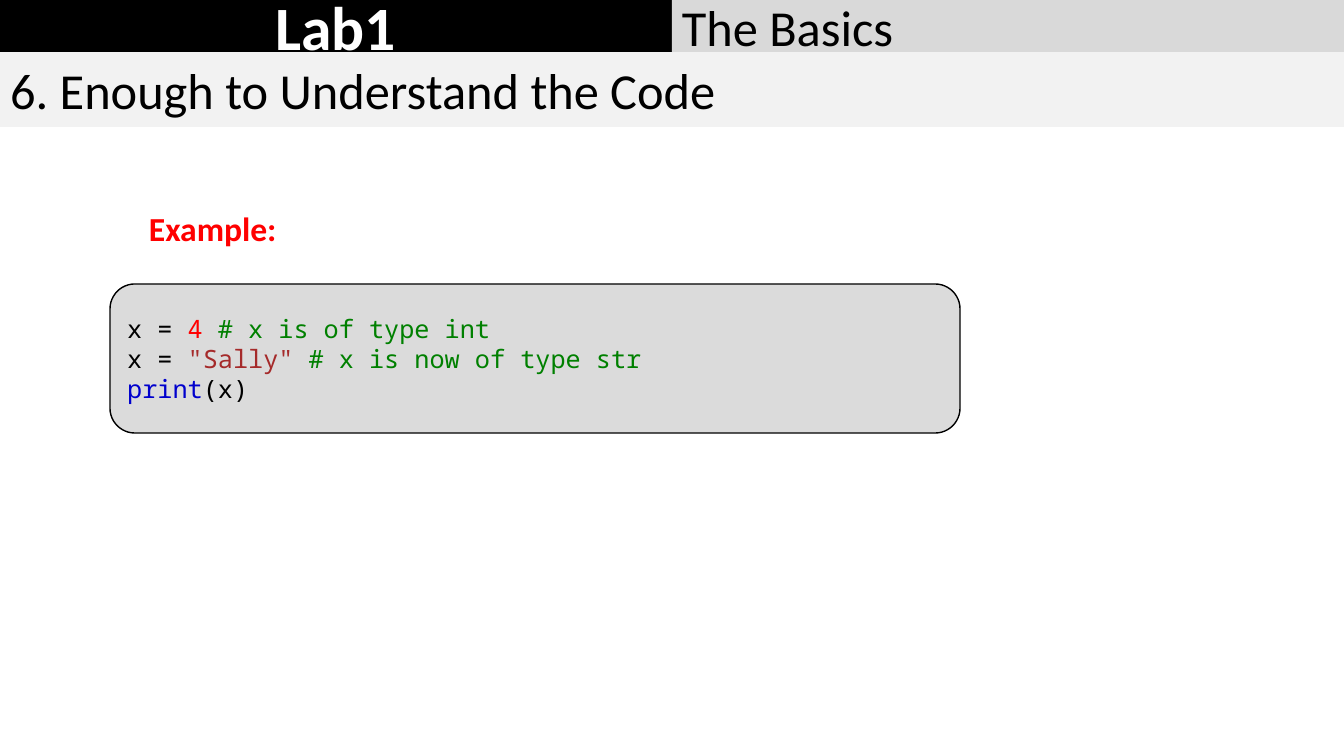
"""Build the slide 'Enough to Understand the Code'."""
from pptx import Presentation
from pptx.dml.color import RGBColor
from pptx.enum.shapes import MSO_SHAPE
from pptx.enum.text import MSO_ANCHOR, MSO_AUTO_SIZE, PP_ALIGN
from pptx.util import Pt

RECT, ROUND = MSO_SHAPE.RECTANGLE, MSO_SHAPE.ROUNDED_RECTANGLE
LEFT, CENTER = PP_ALIGN.LEFT, PP_ALIGN.CENTER
MIDDLE, TOP = MSO_ANCHOR.MIDDLE, MSO_ANCHOR.TOP
FIXED = MSO_AUTO_SIZE.NONE

WIDE, HIGH = 1344, 756
HALF, BAR = WIDE // 2, 52
SCALE = 12192000 / WIDE
BLACK, WHITE, RED, GREEN = "000000", "FFFFFF", "FF0000", "008000"
BROWN, BLUE = "A52A2A", "0000CD"
SANS, MONO = "Calibri", "Noto Sans Mono"

LAB = [[("Lab1", WHITE)]]
TOPIC = [[("The Basics", BLACK)]]
TITLE = [[("6. Enough to Understand the Code", BLACK)]]
LABEL = [[("Example:", RED)]]
CODE = [
    [("x = ", BLACK), ("4 ", RED), ("# x is of type int", GREEN)],
    [("x = ", BLACK), ('"Sally" ', BROWN), ("# x is now of type str", GREEN)],
    [("print", BLUE), ("(x)", BLACK)],
]


def px(num):
    return round(num * SCALE)


def color(code):
    return RGBColor.from_string(code)


def paint(shape, fill):
    shape.fill.solid()
    shape.fill.fore_color.rgb = color(fill)


def write(shape, lines, size, font=SANS, bold=False, align=LEFT, anchor=MIDDLE):
    frame = shape.text_frame
    frame.word_wrap = True
    frame.auto_size = FIXED
    frame.vertical_anchor = anchor
    para = frame.paragraphs[0]
    para.alignment = align
    for row, line in enumerate(lines):
        if row:
            para.add_line_break()
        for text, tint in line:
            run = para.add_run()
            run.text = text
            run.font.name = font
            run.font.size = Pt(size)
            run.font.bold = bold
            run.font.color.rgb = color(tint)


def panel(shapes, kind, box, fill, line=None):
    shape = shapes.add_shape(kind, *map(px, box))
    shape.shadow.inherit = False
    paint(shape, fill)
    if line:
        shape.line.color.rgb = color(line)
        shape.line.width = Pt(1)
    else:
        shape.line.fill.background()
    return shape


def main():
    deck = Presentation()
    deck.slide_width, deck.slide_height = px(WIDE), px(HIGH)
    shapes = deck.slides.add_slide(deck.slide_layouts[5]).shapes

    title = shapes.title
    title.left, title.top = px(0), px(BAR)
    title.width, title.height = px(WIDE), px(75)
    paint(title, "F2F2F2")
    write(title, TITLE, 36)

    lab = panel(shapes, RECT, (0, 0, HALF, BAR), BLACK)
    write(lab, LAB, 44, bold=True, align=CENTER)
    topic = panel(shapes, RECT, (HALF, 0, HALF, BAR), "D9D9D9")
    write(topic, TOPIC, 36)

    label = shapes.add_textbox(*map(px, (139, 203, 1100, 50)))
    write(label, LABEL, 24, bold=True, anchor=TOP)
    code = panel(shapes, ROUND, (110, 284, 850, 149), "DBDBDB", BLACK)
    write(code, CODE, 18, MONO)

    deck.save("out.pptx")


if __name__ == "__main__":
    main()
